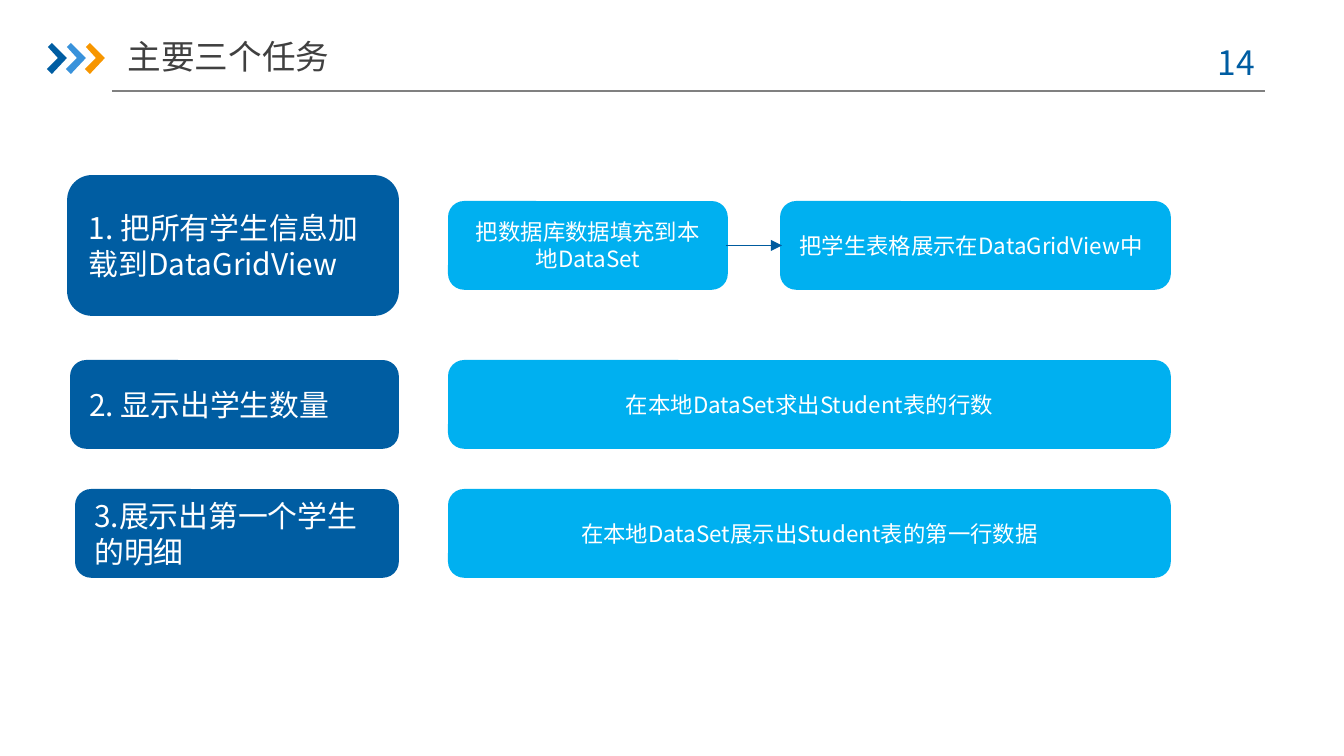
"""Build the slide listing the three main tasks and the steps for each."""
from pptx import Presentation, util as u
from pptx.dml.color import RGBColor
from pptx.enum import shapes, text
from pptx.oxml.ns import qn
from lxml import etree

FONT = "Noto Sans CJK SC"
NAVY = RGBColor(0x00, 0x5D, 0xA2)
BLUE = RGBColor(0x39, 0x92, 0xDB)
ORANGE = RGBColor(0xF7, 0x96, 0x00)
CYAN = RGBColor(0x00, 0xB0, 0xF0)
ARROW = RGBColor(0x00, 0x5B, 0x9E)
GREY = RGBColor(0x80, 0x80, 0x80)
INK = RGBColor(0x40, 0x40, 0x40)
WHITE = RGBColor(0xFF, 0xFF, 0xFF)
LEFT, CENTER = text.PP_ALIGN.LEFT, text.PP_ALIGN.CENTER

TITLE = "主要三个任务"
PAGE_NUMBER = "14 "
TASKS = [
    {"middle": 245.5, "left": 69, "height": 137,
     "task": "1. 把所有学生信息加载到DataGridView",
     "steps": [("把数据库数据填充到本地DataSet", 450, 726, CENTER),
               ("把学生表格展示在DataGridView中", 782, 1169, LEFT)]},
    {"middle": 404.5, "left": 72, "height": 85,
     "task": "2. 显示出学生数量",
     "steps": [("在本地DataSet求出Student表的行数", 450, 1169, CENTER)]},
    {"middle": 533.5, "left": 77, "height": 85,
     "task": "3.展示出第一个学生的明细",
     "steps": [("在本地DataSet展示出Student表的第一行数据", 450, 1169, CENTER)]},
]
TASK_RIGHT, STEP_HEIGHT = 397, 85
CHEVRON = [(1, 4), (5, 0), (20, 15), (5, 31), (0, 26), (11, 15)]
CHEVRON_LEFT, CHEVRON_TOP, CHEVRON_GAP = 47, 43, 19


def px(value):
    return u.Emu(round(value * 914400 / 134.4))


def write(box, words, size, color, align):
    para = box.text_frame.paragraphs[0]
    para.alignment = align
    span = para.add_run()
    span.text = words
    span.font.name, span.font.size = FONT, u.Pt(size)
    span.font.color.rgb = color
    latin = span.font._element.find(qn("a:latin"))
    east = etree.Element(qn("a:ea"), typeface=FONT)
    latin.addnext(east)


def add_card(page, left, right, middle, height, color, words, size, align):
    card = page.shapes.add_shape(
        shapes.MSO_SHAPE.ROUNDED_RECTANGLE, px(left), px(middle - height / 2),
        px(right - left), px(height))
    card.shadow.inherit = False
    card.fill.solid()
    card.fill.fore_color.rgb = card.line.color.rgb = color
    card.line.width = u.Pt(2)
    card.text_frame.word_wrap = True
    card.text_frame.vertical_anchor = text.MSO_ANCHOR.MIDDLE
    write(card, words, size, WHITE, align)
    return card


def add_line(page, start, end, color):
    line = page.shapes.add_connector(
        shapes.MSO_CONNECTOR.STRAIGHT, *map(px, start + end))
    line.line.color.rgb = color
    line.line.width = u.Pt(0.75)
    etree.SubElement(line._element.spPr, qn("a:effectLst"))
    return line


def add_arrow(page, source, target):
    arrow = add_line(page, (0, 0), (1, 1), ARROW)
    arrow.begin_connect(source, 3)
    arrow.end_connect(target, 1)
    etree.SubElement(arrow.line._get_or_add_ln(), qn("a:tailEnd"), type="triangle")


def add_header(page):
    add_line(page, (112, 91), (1265, 91), GREY)
    for index, color in enumerate((NAVY, BLUE, ORANGE)):
        left = CHEVRON_LEFT + index * CHEVRON_GAP
        points = [(px(left + x), px(CHEVRON_TOP + y)) for x, y in CHEVRON]
        builder = page.shapes.build_freeform(*points[0], scale=1.0)
        builder.add_line_segments(points[1:], close=True)
        chevron = builder.convert_to_shape()
        chevron.shadow.inherit = False
        chevron.fill.solid()
        chevron.fill.fore_color.rgb = color
        chevron.line.fill.background()

    number = page.shapes.add_textbox(px(1191), px(35), px(98), px(54))
    number.text_frame.word_wrap = True
    write(number, PAGE_NUMBER, 18, NAVY, CENTER)

    title = page.shapes.title
    title.left, title.top, title.width, title.height = map(px, (112, 28, 233, 56))
    frame = title.text_frame
    frame.margin_left = frame.margin_right = 0
    frame.auto_size = text.MSO_AUTO_SIZE.NONE
    frame.vertical_anchor = text.MSO_ANCHOR.MIDDLE
    write(title, TITLE, 18, INK, CENTER)


def main():
    deck = Presentation()
    deck.slide_width, deck.slide_height = px(1344), px(756)
    page = deck.slides.add_slide(deck.slide_layouts[5])
    add_header(page)
    for row in TASKS:
        middle = row["middle"]
        add_card(page, row["left"], TASK_RIGHT, middle, row["height"],
                 NAVY, row["task"], 16, LEFT)
        cards = [add_card(page, left, right, middle, STEP_HEIGHT, CYAN, words, 12, align)
                 for words, left, right, align in row["steps"]]
        for source, target in zip(cards, cards[1:]):
            add_arrow(page, source, target)
    deck.save("out.pptx")


if __name__ == "__main__":
    main()
